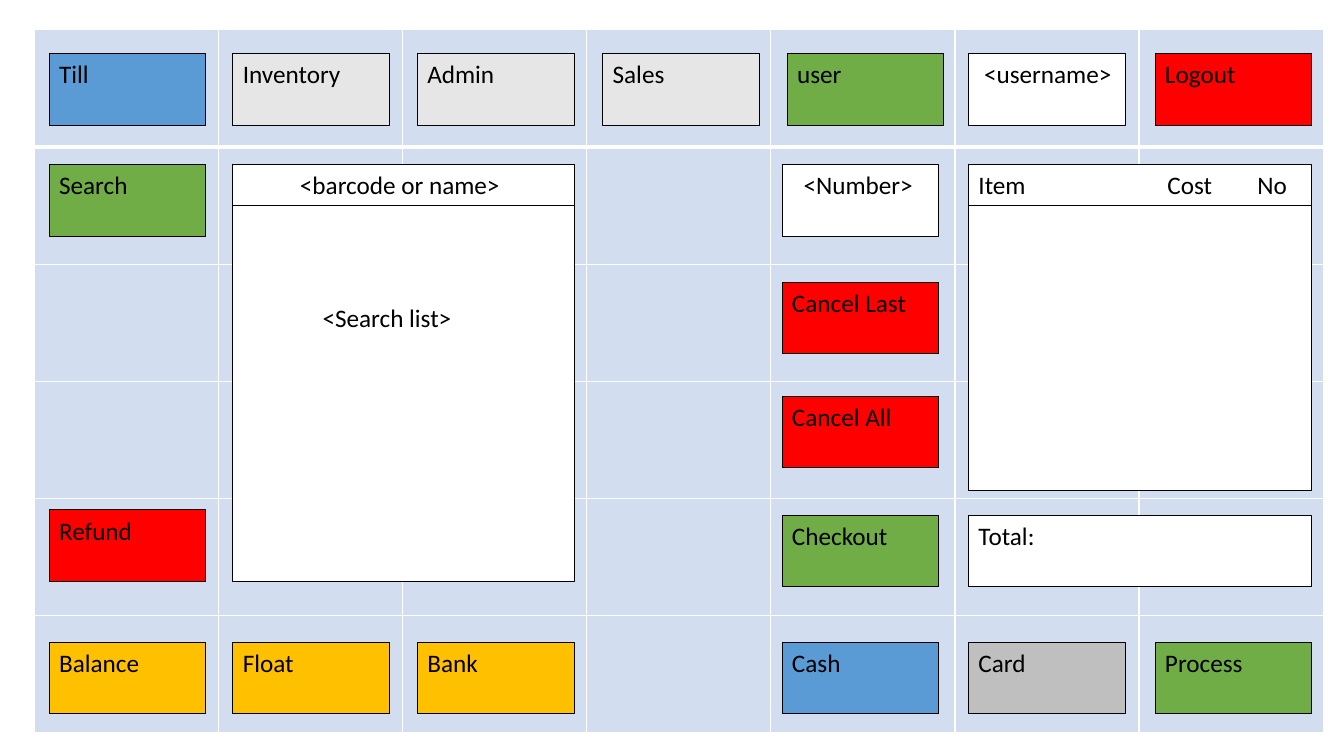
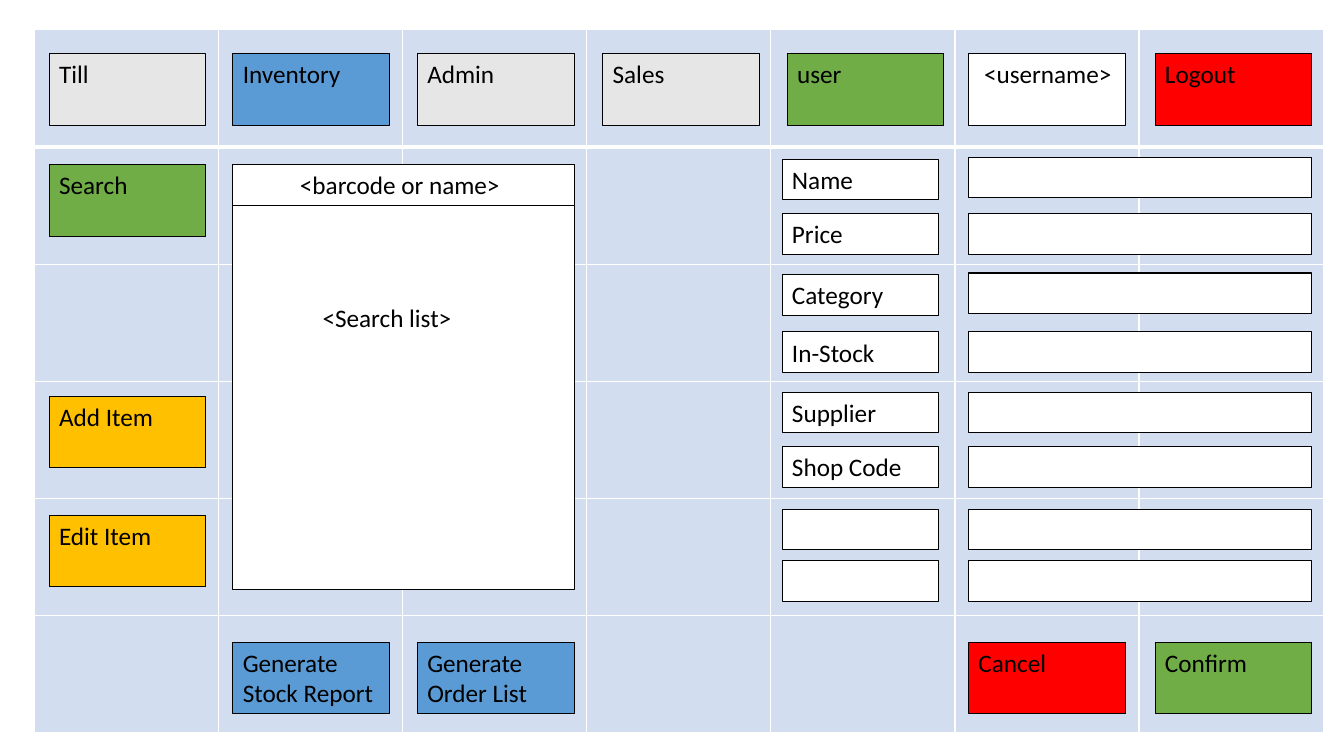
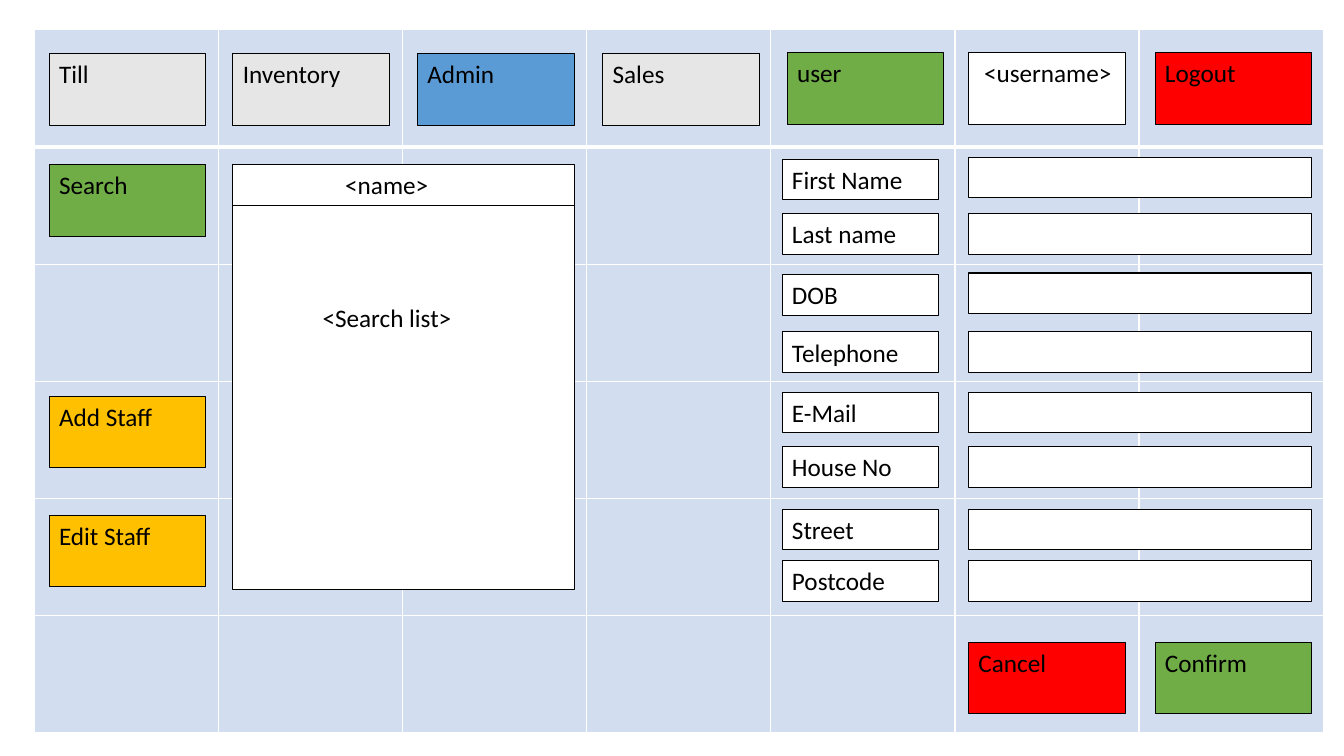
from lxml import etree
from pptx import Presentation
from pptx.dml.color import RGBColor
from pptx.enum.shapes import MSO_SHAPE
from pptx.enum.text import MSO_ANCHOR, PP_ALIGN
from pptx.oxml.ns import qn
from pptx.util import Cm, Pt

# Style
COLORS = {"grid": "D2DEEF", "white": "FFFFFF", "black": "000000", "blue": "5B9BD5",
          "pale": "E7E6E6", "gray": "BFBFBF", "green": "70AD47", "red": "FF0000",
          "amber": "FFC000"}
FONT, TEXT_SIZE = "Calibri", 18

# Layout in cm: left edges of the button columns, top edges of the button rows
COLUMN = [1.24, 5.87, 10.52, 15.19, 19.71, 24.41, 29.11]
ROW = [1.35, 4.14, 7.11, 9.98, 12.98, 16.18]
USER_LEFT, REFUND_TOP = 19.84, 12.85
BUTTON_W, BUTTON_H, FIELD_H = 3.95, 1.81, 1.03
SEARCH_W, DETAIL_W = 8.61, 8.64
LIST_TOP = 5.16
GRID = {"left": 0.87, "top": 0.75, "width": 32.48, "height": 17.72, "rows": 6, "cols": 7}
LABEL_TOPS = [4.01, 5.38, 6.91, 8.36, 9.88, 11.25, 12.83, 14.12]
VALUE_TOPS = [3.96, 5.38, 6.88] + LABEL_TOPS[3:]

# Content: buttons are (text, colour, column, row)
TABS = ["Till", "Inventory", "Admin", "Sales"]
FORM_BUTTONS = [("Cancel", "red", 5, 5), ("Confirm", "green", 6, 5)]
SCREENS = [
    {"tab": "Till", "account_top": 1.35, "list_height": 9.5,
     "search": ("<barcode or name>", 1.44), "fields": [],
     "buttons": [("Balance", "amber", 0, 5), ("Float", "amber", 1, 5),
                 ("Bank", "amber", 2, 5), ("Cancel Last", "red", 4, 2),
                 ("Cancel All", "red", 4, 3), ("Checkout", "green", 4, 4),
                 ("Cash", "blue", 4, 5), ("Card", "gray", 5, 5),
                 ("Process", "green", 6, 5)]},
    {"tab": "Inventory", "account_top": 1.35, "list_height": 9.7,
     "search": ("<barcode or name>", 1.44),
     "fields": ["Name", "Price", "Category", "In-Stock", "Supplier", "Shop Code", "", ""],
     "buttons": [("Add Item", "amber", 0, 3), ("Edit Item", "amber", 0, 4),
                 ("Generate Stock Report", "blue", 1, 5),
                 ("Generate Order List", "blue", 2, 5)] + FORM_BUTTONS},
    {"tab": "Admin", "account_top": 1.32, "list_height": 9.7,
     "search": ("<name>", 2.58),
     "fields": ["First Name", "Last name", "DOB", "Telephone", "E-Mail", "House No",
                "Street", "Postcode"],
     "buttons": [("Add Staff", "amber", 0, 3), ("Edit Staff", "amber", 0, 4)] + FORM_BUTTONS},
]


def rgb(name):
    return RGBColor.from_string(COLORS[name])


def add_box(slide, text, color, left, top, width=BUTTON_W, height=BUTTON_H,
            indent=0, text_top=0.13, tabs=()):
    box = slide.shapes.add_shape(MSO_SHAPE.RECTANGLE, Cm(left), Cm(top), Cm(width), Cm(height))
    box.shadow.inherit = False
    box.fill.solid()
    box.fill.fore_color.rgb = rgb(color)
    box.line.color.rgb = rgb("black")
    box.line.width = Pt(0.75)
    frame = box.text_frame
    frame.word_wrap = True
    frame.vertical_anchor = MSO_ANCHOR.TOP
    frame.margin_top = Cm(text_top)
    frame.margin_left = Cm(0.25 + indent)
    if not text:
        return
    paragraph = frame.paragraphs[0]
    paragraph.alignment = PP_ALIGN.LEFT
    run = paragraph.add_run()
    run.text = text
    run.font.name, run.font.size = FONT, Pt(TEXT_SIZE)
    run.font.color.rgb = rgb("black")
    if tabs:
        tab_list = etree.SubElement(paragraph._p.get_or_add_pPr(), qn("a:tabLst"))
        for position in tabs:
            etree.SubElement(tab_list, qn("a:tab"), pos=str(Cm(position)), algn="l")


def set_borders(cell, widths):
    properties = cell._tc.get_or_add_tcPr()
    for index, (side, width) in enumerate(widths.items()):
        line = etree.Element(qn("a:ln" + side), w=str(Pt(width)))
        fill = etree.SubElement(line, qn("a:solidFill"))
        etree.SubElement(fill, qn("a:srgbClr"), val=COLORS["white"])
        properties.insert(index, line)


def add_grid(slide):
    rows, cols = GRID["rows"], GRID["cols"]
    table = slide.shapes.add_table(rows, cols, Cm(GRID["left"]), Cm(GRID["top"]),
                                   Cm(GRID["width"]), Cm(GRID["height"])).table
    table.first_row = table.horz_banding = False
    for r in range(rows):
        for c in range(cols):
            cell = table.cell(r, c)
            cell.fill.solid()
            cell.fill.fore_color.rgb = rgb("grid")
            set_borders(cell, {"L": 1, "R": 1, "T": 3 if r == 1 else 1, "B": 3 if r == 0 else 1})


def add_header(slide, screen):
    for text, left in zip(TABS, COLUMN):
        add_box(slide, text, "blue" if text == screen["tab"] else "pale", left, ROW[0])
    top = screen["account_top"]
    add_box(slide, "user", "green", USER_LEFT, top)
    add_box(slide, "<username>", "white", COLUMN[5], top, indent=0.14)
    add_box(slide, "Logout", "red", COLUMN[6], top)


def add_search(slide, screen):
    hint, indent = screen["search"]
    add_box(slide, "Search", "green", COLUMN[0], ROW[1])
    add_box(slide, "<Search list>", "white", COLUMN[1], LIST_TOP, SEARCH_W,
            screen["list_height"], indent=2.01, text_top=2.45)
    add_box(slide, hint, "white", COLUMN[1], ROW[1], SEARCH_W, FIELD_H, indent=indent)


def add_basket(slide):
    add_box(slide, "Refund", "red", COLUMN[0], REFUND_TOP)
    add_box(slide, "<Number>", "white", COLUMN[4], ROW[1], indent=0.29)
    add_box(slide, "", "white", COLUMN[5], LIST_TOP, DETAIL_W, 7.19)
    add_box(slide, "Item\tCost\tNo", "white", COLUMN[5], ROW[1], DETAIL_W, FIELD_H,
            tabs=(4.76, 7.03))
    add_box(slide, "Total:", "white", COLUMN[5], ROW[4], DETAIL_W)


# Build the screens
prs = Presentation()
prs.slide_width, prs.slide_height = Cm(33.87), Cm(19.05)
blank_layout = prs.slide_layouts[6]
for screen in SCREENS:
    slide = prs.slides.add_slide(blank_layout)
    add_grid(slide)
    add_header(slide, screen)
    add_search(slide, screen)
    if screen["tab"] == "Till":
        add_basket(slide)
    for text, color, column, row in screen["buttons"]:
        add_box(slide, text, color, COLUMN[column], ROW[row])
    for label, label_top, value_top in zip(screen["fields"], LABEL_TOPS, VALUE_TOPS):
        add_box(slide, label, "white", COLUMN[4], label_top, height=FIELD_H)
        add_box(slide, "", "white", COLUMN[5], value_top, DETAIL_W, FIELD_H)

prs.save("out.pptx")
